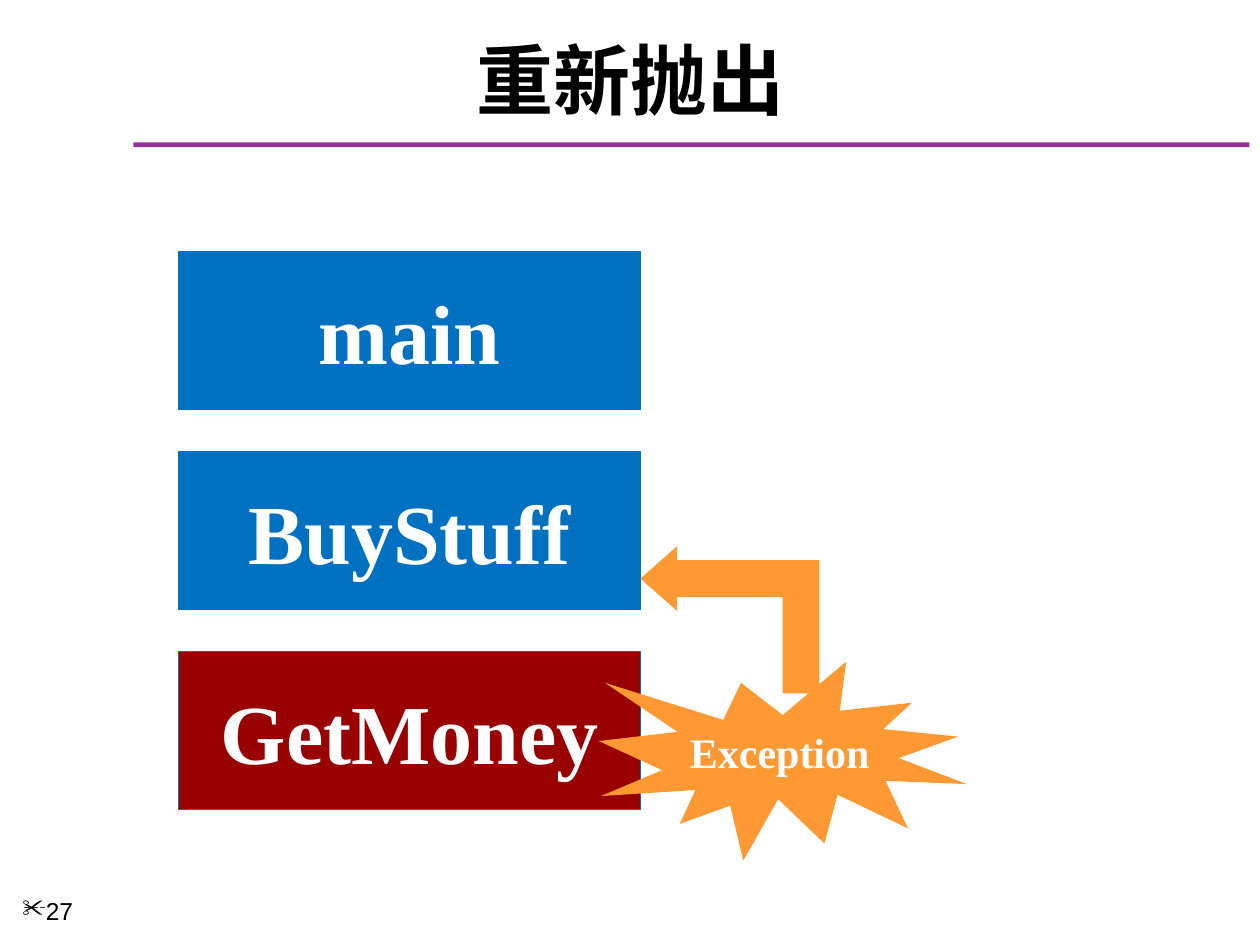
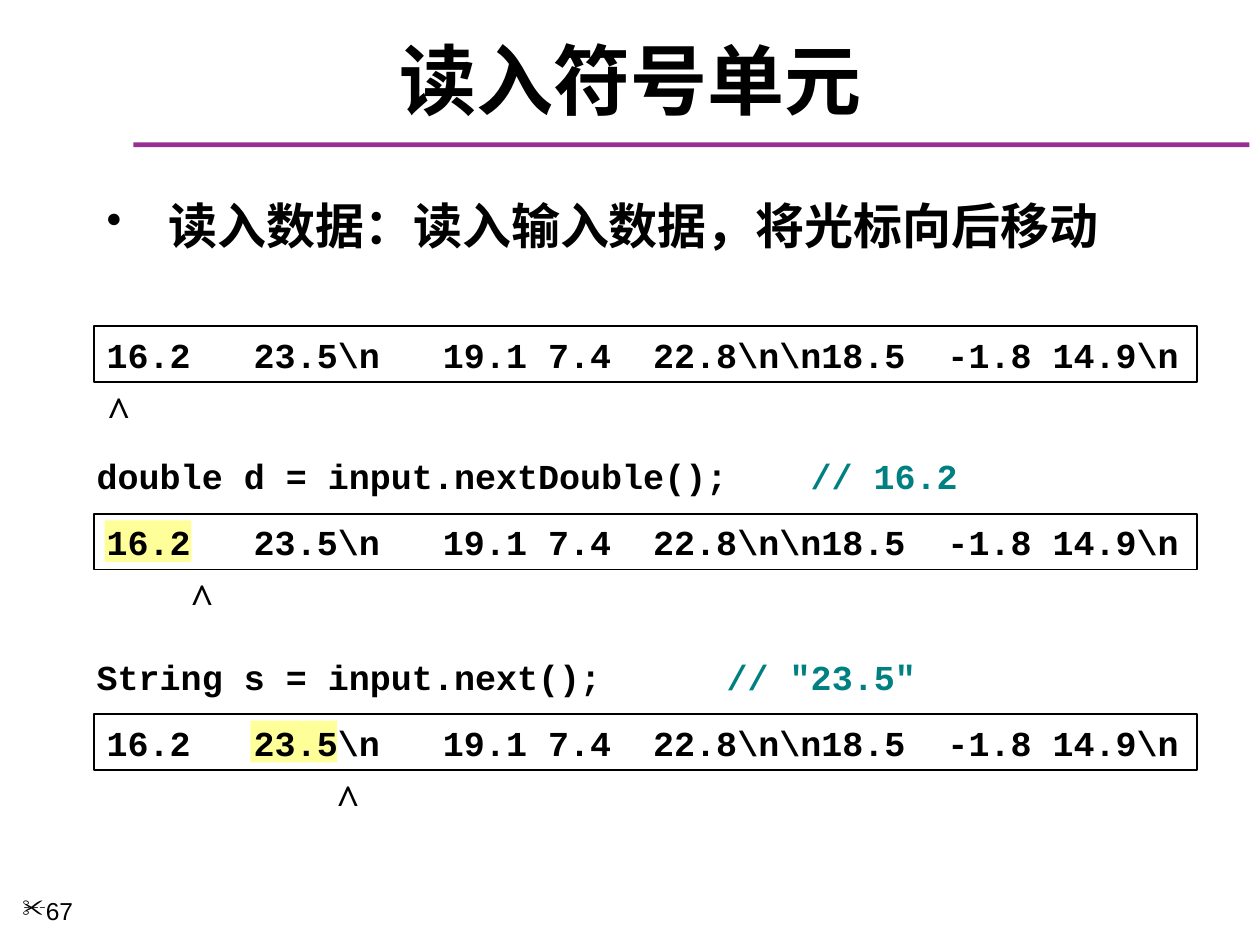
"""Build two lecture slides: rethrowing an exception and reading input tokens."""
import lxml.etree
import pptx
import pptx.dml.color
import pptx.enum.shapes
import pptx.enum.text
import pptx.oxml.ns
import pptx.util

Cm = pptx.util.Cm
Pt = pptx.util.Pt
RGB = pptx.dml.color.RGBColor.from_string
qn = pptx.oxml.ns.qn
SHAPE = pptx.enum.shapes.MSO_SHAPE
ANCHOR = pptx.enum.text.MSO_ANCHOR
ALIGN = pptx.enum.text.PP_ALIGN


class Theme:
    black, white = "000000", "FFFFFF"
    rule, method, thrower = "973095", "0070C0", "990000"
    exception, token, comment = "FF9933", "FFFF99", "008080"
    serif, sans, mono = "Times New Roman", "Arial", "Courier New"
    title, frame, bullet, seal, caret, code, number = 44, 48, 28, 24, 24, 20, 14


def add_box(s, at, kind=None, fill=None, line=None, width=0.75):
    box = [Cm(v) for v in at]
    if kind is None:
        return s.shapes.add_textbox(*box)
    sp = s.shapes.add_shape(kind, *box)
    sp.shadow.inherit = False
    if fill:
        sp.fill.solid()
        sp.fill.fore_color.rgb = RGB(fill)
    else:
        sp.fill.background()
    if line:
        sp.line.color.rgb = RGB(line)
        sp.line.width = Pt(width)
    else:
        sp.line.fill.background()
    return sp


def write(sp, runs, size, font=Theme.serif, bold=True, before=0.2,
          align=ALIGN.LEFT, anchor=ANCHOR.TOP, wrap=True):
    tf = sp.text_frame
    tf.word_wrap = wrap
    tf.vertical_anchor = anchor
    p = tf.paragraphs[0]
    p.alignment = align
    p.space_before = Pt(size * before)
    for text, color in runs:
        r = p.add_run()
        r.text = text
        r.font.name = font
        r.font.size = Pt(size)
        r.font.bold = bold
        r.font.color.rgb = RGB(color)
    return p


prs = pptx.Presentation()
prs.slide_width, prs.slide_height = Cm(25.4), Cm(19.05)

slides = []
for title, number in (("重新抛出", "27"), ("读入符号单元", "67")):
    s = prs.slides.add_slide(prs.slide_layouts[6])
    add_box(s, (2.69, 2.87, 22.5, 0.1), SHAPE.RECTANGLE, Theme.rule)
    sp = add_box(s, (0.43, 0.64, 24.56, 1.9))
    write(sp, [(title, Theme.black)], Theme.title, before=0,
          align=ALIGN.CENTER, anchor=ANCHOR.MIDDLE)
    sp = add_box(s, (0.2, 17.93, 2.74, 1.12))
    p = write(sp, [(number, Theme.black)], Theme.number, Theme.sans, False, 0)
    pPr = p._p.get_or_add_pPr()
    lxml.etree.SubElement(pPr, qn("a:buChar")).set("char", "✂")
    slides.append(s)

s = slides[0]
calls = (("main", Theme.method), ("BuyStuff", Theme.method),
         ("GetMoney", Theme.thrower))
for i, (name, fill) in enumerate(calls):
    sp = add_box(s, (3.6, 5.08 + 4.03 * i, 9.32, 3.18), SHAPE.RECTANGLE,
                 fill, Theme.method)
    write(sp, [(name, Theme.white)], Theme.frame,
          align=ALIGN.CENTER, anchor=ANCHOR.MIDDLE)

sp = add_box(s, (12.07, 13.34, 7.42, 4.01), SHAPE.EXPLOSION1, Theme.exception)
write(sp, [("Exception", Theme.white)], Theme.seal)
sp.text_frame.margin_right = 0
arrow = add_box(s, (13.23, 10.69, 2.97, 3.61), SHAPE.BENT_UP_ARROW,
                Theme.exception)
arrow.rotation = 270
arrow.adjustments[1] = 0.22

s = slides[1]
sp = add_box(s, (1.9, 3.81, 21.39, 2))
p = write(sp, [("读入数据：读入输入数据，将光标向后移动", Theme.black)],
          Theme.bullet, before=0)
pPr = p._p.get_or_add_pPr()
pPr.set("marL", str(Cm(1.25)))
pPr.set("indent", str(-Cm(1.25)))
lxml.etree.SubElement(pPr, qn("a:buSzPct")).set("val", "90000")
lxml.etree.SubElement(pPr, qn("a:buChar")).set("char", "•")

data = r"16.2   23.5\n   19.1 7.4  22.8\n\n18.5  -1.8 14.9\n"
left, char = 1.9, 0.42
steps = (
    (6.58, None, 0, None, None, 0),
    (10.36, 0, 4, "double d = input.nextDouble();", "// 16.2", 14.39),
    (14.4, 7, 11, "String s = input.next();", '// "23.5"', 12.7),
)
for top, start, cursor, code, comment, tab in steps:
    if code:
        add_box(s, (left + 0.21 + char * start, top + 0.13, 1.75, 0.84),
                SHAPE.RECTANGLE, Theme.token)
    sp = add_box(s, (left, top, 22.23, 1.12), SHAPE.RECTANGLE,
                 line=Theme.black, width=1)
    write(sp, [(data, Theme.black)], Theme.code, Theme.mono,
          anchor=ANCHOR.MIDDLE)
    sp = add_box(s, (left + char * cursor, top + 1.04, 1.02, 1.27))
    write(sp, [("^", Theme.black)], Theme.caret, wrap=False)
    if code:
        sp = add_box(s, (1.7, top - 1.32, 22.66, 1.12))
        p = write(sp, [(code + "\t", Theme.black), (comment, Theme.comment)],
                  Theme.code, Theme.mono)
        tabs = lxml.etree.SubElement(p._p.get_or_add_pPr(), qn("a:tabLst"))
        stop = lxml.etree.SubElement(tabs, qn("a:tab"))
        stop.set("pos", str(Cm(tab)))
        stop.set("algn", "l")

prs.save("out.pptx")
